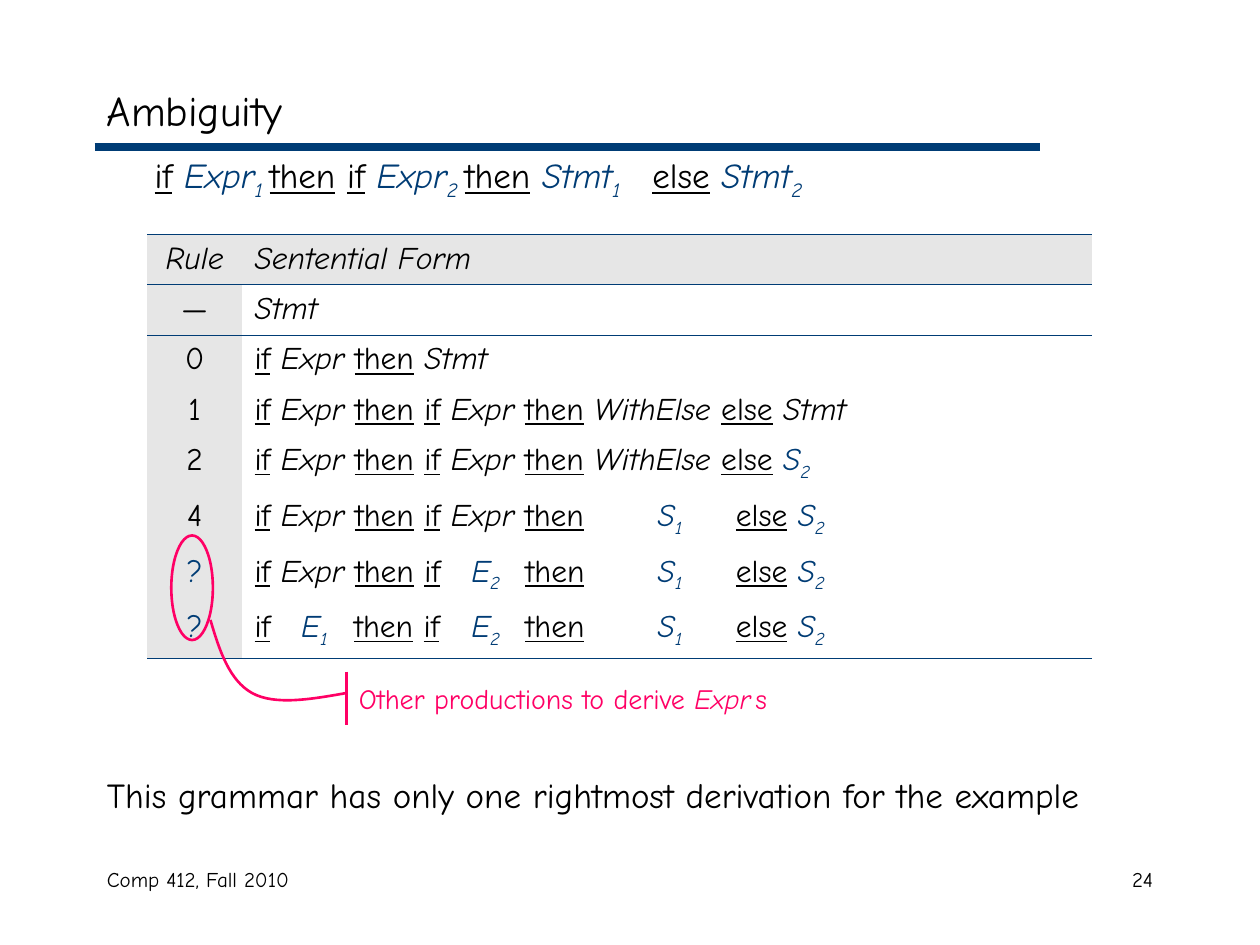
from itertools import groupby

from lxml import etree
from pptx import Presentation
from pptx import util as u
from pptx.dml.color import RGBColor
from pptx.enum import shapes, text
from pptx.oxml import ns

BLACK, BLUE, PINK, GREY = "000000", "003C75", "FF0065", "E6E6E6"
KEYWORDS = ("if", "then", "else")
NO_STYLE = "{2D5ABB26-0587-4C30-8999-92F81FD0307C}"
LEFT, CENTER, RIGHT = text.PP_ALIGN.LEFT, text.PP_ALIGN.CENTER, text.PP_ALIGN.RIGHT


def rgb(value):
    return RGBColor.from_string(value)


def child(parent, tag, **attributes):
    return etree.SubElement(parent, ns.qn(tag), attributes)


def grammar_runs(line):
    """Underline keywords, set symbols in italics, lower their blue indices."""
    runs, style = [], {}
    for is_word, letters in groupby(line, str.isalnum):
        word = "".join(letters)
        if not is_word:
            runs.append((word, {**style, "underline": False}))
        elif word in KEYWORDS:
            style = {"underline": True}
            runs.append((word, style))
        else:
            stem = word.rstrip("12")
            index = word[len(stem):]
            style = {"italic": True, "color": BLUE if index else BLACK}
            runs.append((stem, style))
            if index:
                style = {**style, "lowered": True}
                runs.append((index, style))
    return runs


class SlideBuilder:
    font = "Comic Neue"

    def __init__(self, slide):
        self.slide = slide

    def add_runs(self, paragraph, runs, size, color=BLACK, align=LEFT, tabs=()):
        paragraph.alignment = align
        if tabs:
            tab_list = child(paragraph._p.get_or_add_pPr(), "a:tabLst")
            for stop in tabs:
                child(tab_list, "a:tab", pos=str(u.Inches(stop)), algn="l")
        for words, style in runs:
            style = {"size": size, "color": color, **style}
            run = paragraph.add_run()
            run.text = words
            run.font.color.rgb = rgb(style.pop("color"))
            if style.pop("lowered", False):
                run.font._element.set("baseline", "-25000")
            style.update(name=self.font, size=u.Pt(style["size"]))
            for name, value in style.items():
                setattr(run.font, name, value)

    def text_box(self, left, top, width, height, runs, size,
                 anchor=text.MSO_ANCHOR.TOP, **options):
        box = self.slide.shapes.add_textbox(*map(u.Inches, (left, top, width, height)))
        box.text_frame.word_wrap = True
        box.text_frame.vertical_anchor = anchor
        self.add_runs(box.text_frame.paragraphs[0], runs, size, **options)

    def outline(self, shape, color, width):
        shape.line.color.rgb = rgb(color)
        shape.line.width = u.Pt(width)

    def line(self, x1, y1, x2, y2, color, width):
        connector = self.slide.shapes.add_connector(
            shapes.MSO_CONNECTOR.STRAIGHT, *map(u.Inches, (x1, y1, x2, y2)))
        self.outline(connector, color, width)
        child(connector._element.spPr, "a:effectLst")

    def ellipse(self, left, top, width, height, color, line_width):
        shape = self.slide.shapes.add_shape(
            shapes.MSO_SHAPE.OVAL, *map(u.Inches, (left, top, width, height)))
        shape.shadow.inherit = False
        shape.fill.background()
        self.outline(shape, color, line_width)

    def curve(self, points, color, width):
        """Draw cubic segments: a start, then three points per segment."""
        start, *others = [(u.Inches(x), u.Inches(y)) for x, y in points]
        builder = self.slide.shapes.build_freeform(*start)
        builder.add_line_segments(others, close=False)
        shape = builder.convert_to_shape()
        shape.shadow.inherit = False
        shape.fill.background()
        self.outline(shape, color, width)
        steps = list(shape._element.iter(ns.qn("a:lnTo")))
        outline_path = steps[0].getparent()
        for first in range(0, len(steps), 3):
            cubic = child(outline_path, "a:cubicBezTo")
            for step in steps[first:first + 3]:
                cubic.append(step[0])
                outline_path.remove(step)

    def cell(self, cell, runs, fill=None, borders=None, **options):
        self.add_runs(cell.text_frame.paragraphs[0], runs, 18, **options)
        properties = cell._tc.get_or_add_tcPr()
        for side, width in (borders or {}).items():
            border = child(properties, f"a:ln{side}", w=str(u.Pt(width)))
            child(child(border, "a:solidFill"), "a:srgbClr", val=BLUE)
        if fill:
            cell.fill.solid()
            cell.fill.fore_color.rgb = rgb(fill)
        else:
            cell.fill.background()

    def derivation_table(self, left, top, widths, heights, rows, tabs):
        frame = self.slide.shapes.add_table(
            len(rows), len(widths), u.Inches(left), u.Inches(top),
            u.Inches(sum(widths)), u.Inches(sum(heights)))
        table = frame.table
        table.first_row = table.horz_banding = False
        table._tbl.tblPr.find(ns.qn("a:tableStyleId")).text = NO_STYLE
        for column, width in zip(table.columns, widths):
            column.width = u.Inches(width)
        borders = {0: {"T": 1.08, "B": 0.45}, 1: {"T": 0.45}, len(rows) - 1: {"B": 1.08}}
        for index, (rule, form) in enumerate(rows):
            table.rows[index].height = u.Inches(heights[index])
            header = index == 0
            rule_style = {"italic": header, "color": BLUE if rule == "?" else BLACK}
            self.cell(table.cell(index, 0), [(rule, rule_style)], GREY,
                      borders.get(index), align=CENTER)
            self.cell(table.cell(index, 1), grammar_runs(form),
                      GREY if header else None, borders.get(index), tabs=tabs)


def main():
    presentation = Presentation()
    presentation.slide_width, presentation.slide_height = u.Inches(10), u.Inches(7.5)
    slide = presentation.slides.add_slide(presentation.slide_layouts[6])
    builder = SlideBuilder(slide)

    # Title and footer
    builder.line(0.75, 1.17, 8.25, 1.17, BLUE, 4.5)
    builder.text_box(0.75, 0.58, 8.5, 0.58, [("Ambiguity", {})], 24,
                     anchor=text.MSO_ANCHOR.MIDDLE)
    builder.text_box(0.75, 6.83, 3.17, 0.5, [("Comp 412, Fall 2010", {})], 12)
    builder.text_box(7.17, 6.83, 2.08, 0.5, [("24", {})], 12, align=RIGHT)

    # Example statement and conclusion
    statement = "if Expr1 then if Expr2 then Stmt1\telse Stmt2"
    builder.text_box(1.13, 1.17, 8.37, 0.5, grammar_runs(statement), 20, tabs=[3.95])
    conclusion = "This grammar has only one rightmost derivation for the example"
    builder.text_box(0.75, 6.09, 8.75, 0.5, [(conclusion, {})], 20)

    # Derivation
    rows = [
        ("Rule", "Sentential Form"),
        ("—", "Stmt"),
        ("0", "if Expr then Stmt"),
        ("1", "if Expr then if Expr then WithElse else Stmt"),
        ("2", "if Expr then if Expr then WithElse else S2"),
        ("4", "if Expr then if Expr then\tS1\telse S2"),
        ("?", "if Expr then if\tE2\tthen\tS1\telse S2"),
        ("?", "if\tE1\tthen if\tE2\tthen\tS1\telse S2"),
    ]
    builder.derivation_table(1.17, 1.86, [0.75, 6.75], [0.4] * 4 + [0.44] * 4, rows,
                             tabs=[0.37, 0.79, 1.72, 2.15, 3.2, 3.82])

    # Callout on the open rules
    builder.ellipse(1.36, 4.25, 0.33, 0.83, PINK, 1.5)
    callout = [("Other productions to derive ", {}), ("Expr", {"italic": True}),
               (" ", {"italic": True, "size": 8}), ("s", {})]
    builder.text_box(2.75, 5.36, 3.92, 0.37, callout, 16, color=PINK)
    builder.line(2.75, 5.33, 2.75, 5.75, PINK, 1.5)
    builder.curve([(2.75, 5.5), (2.47, 5.55), (2.18, 5.6), (2, 5.5),
                   (1.82, 5.4), (1.74, 5.16), (1.67, 4.92)], PINK, 1.5)

    presentation.save("out.pptx")


if __name__ == "__main__":
    main()
